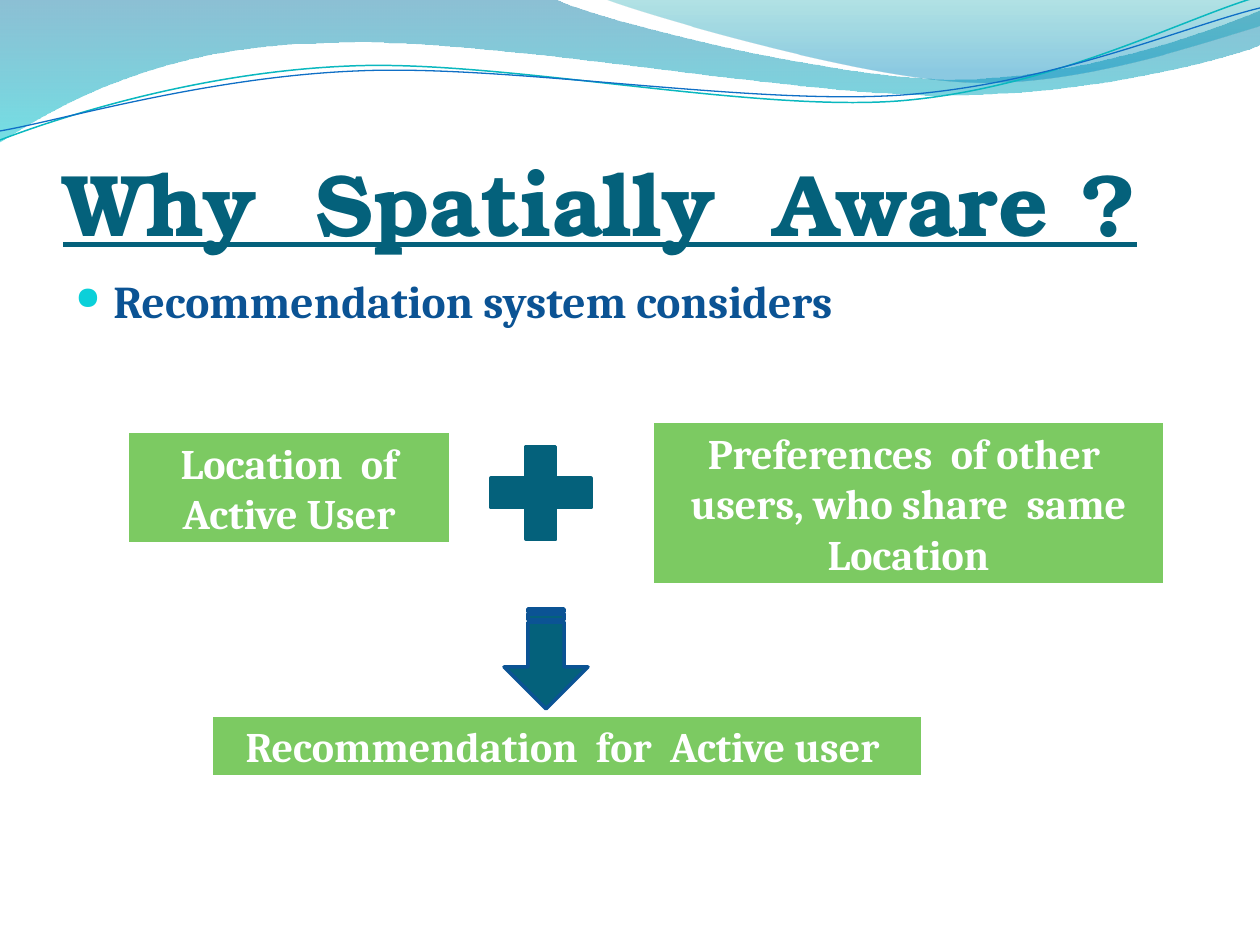
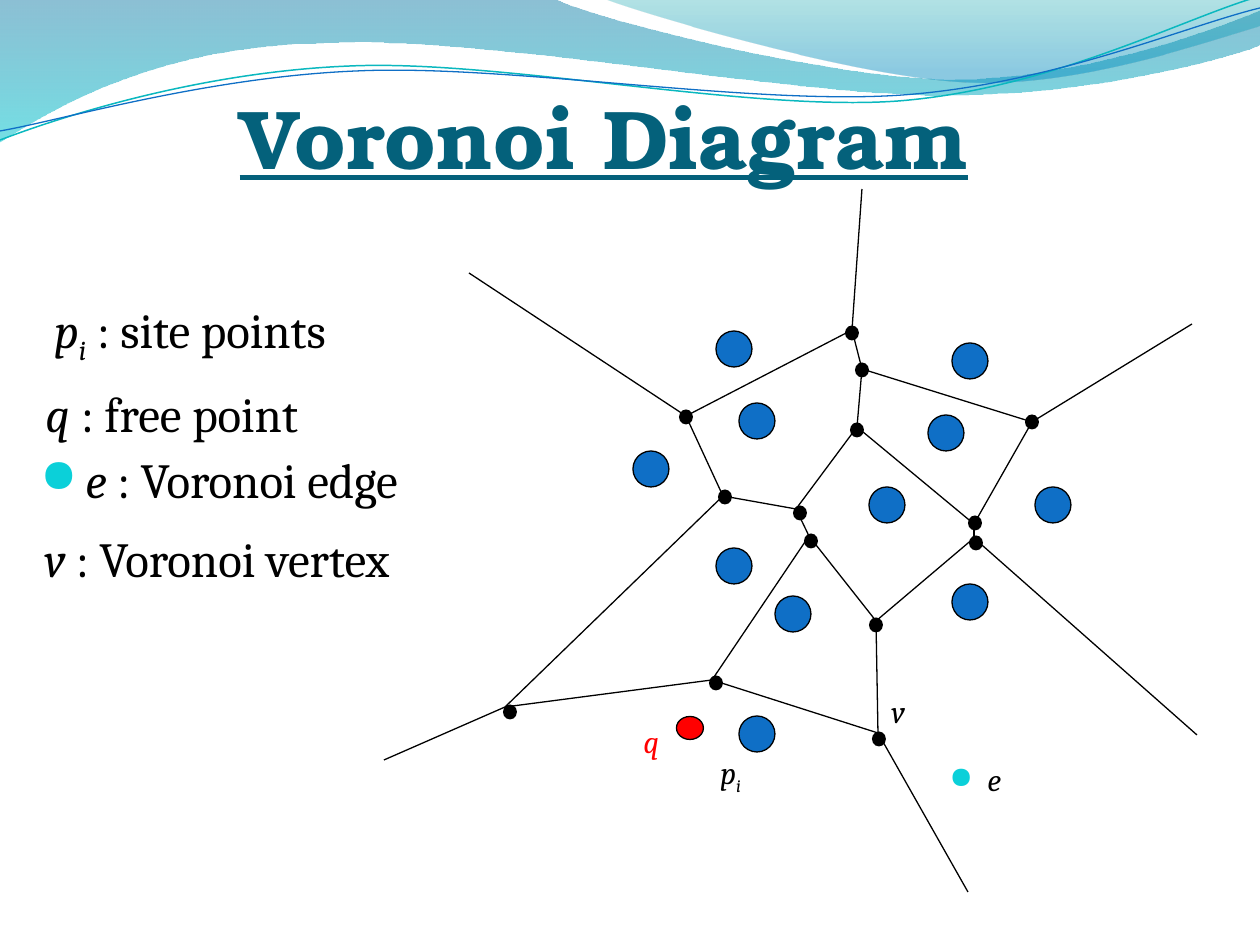
from lxml.etree import Element, SubElement
from pptx import Presentation
from pptx.dml.color import RGBColor
from pptx.enum.shapes import MSO_CONNECTOR, MSO_SHAPE
from pptx.enum.text import MSO_ANCHOR, MSO_AUTO_SIZE, PP_ALIGN
from pptx.oxml.ns import qn
from pptx.util import Pt

PX = 914400 / 126
SLIDE_WIDTH, SLIDE_HEIGHT = 1260, 945
TITLE_ONLY = 5

TITLE_FONT, BODY_FONT = "TeX Gyre Bonum", "Cambria"
TEAL = RGBColor(0x04, 0x61, 0x7B)
NAVY = RGBColor(0x0B, 0x53, 0x94)
BLUE = RGBColor(0x0F, 0x6F, 0xC6)
CYAN = RGBColor(0x0B, 0xD0, 0xD9)
GREEN = RGBColor(0x7C, 0xCA, 0x62)
RED = RGBColor(0xFF, 0x00, 0x00)
BLACK = RGBColor(0x00, 0x00, 0x00)
WHITE = RGBColor(0xFF, 0xFF, 0xFF)
WAVE_TEAL = RGBColor(0x0A, 0xB8, 0xBF)

# Outlines: a start point, then lines (x, y) and curves (x1, y1, x2, y2, x, y).
# Gradient stops: position, colour, opacity in percent.
WAVE_BANDS = [
    ([(0, 0), (554, -1), (600, 21, 837, 79, 955, 79),
      (1074, 79, 1207, 33, 1260, 11), (1261, 45),
      (1238, 55, 1096, 96, 940, 95), (784, 95, 481, 35, 324, 43),
      (163, 45, 58, 105, -1, 142)],
     [(0, RGBColor(0x00, 0x74, 0xA1), 45), (1, RGBColor(0x00, 0xC6, 0xCF), 55)]),
    ([(604, -1), (641, 14, 859, 78, 969, 82),
      (1079, 87, 1211, 40, 1260, 26), (1260, 0)],
     [(0, RGBColor(0x00, 0xA1, 0xA9), 30), (0.8, RGBColor(0x00, 0x8B, 0xBF), 45)]),
]
WAVE_LINES = [
    ([(0, 140), (60, 117, 199, 72, 349, 66), (498, 59, 747, 112, 898, 101),
      (1050, 89, 1182, 19, 1257, -3)], WAVE_TEAL, 0.85),
    ([(0, 131), (59, 121, 207, 77, 357, 71), (507, 64, 752, 106, 903, 95),
      (1053, 84, 1186, 26, 1260, 8)], BLUE, 0.75),
]

# Where the edges of each vertex meet, and the centre of its dot.
VERTICES = {
    "a": ((468, 141), (468, 144)), "b": ((478, 180), (478, 181)),
    "c": ((648, 233), (648, 233)), "d": ((473, 238), (473, 241)),
    "e": ((302, 227), (302, 228)), "f": ((339, 307), (341, 308)),
    "g": ((412, 320), (416, 324)), "h": ((425, 347), (427, 352)),
    "i": ((590, 335), (591, 334)), "j": ((590, 349), (592, 354)),
    "k": ((492, 432), (492, 436)), "l": ((328, 491), (332, 494)),
    "m": ((121, 518), (126, 523)), "n": ((494, 544), (495, 550)),
}
EDGES = "ab gh gd kj ji ef fm ml lh fg di hk ln nk db ea bc ic".split()
OPEN_EDGES = {"a": (478, 0), "c": (808, 135), "e": (85, 84),
              "j": (813, 546), "m": (0, 571), "n": (584, 703)}
SITES = [(350, 160), (373, 232), (267, 280), (586, 172), (562, 244), (503, 316),
         (669, 316), (350, 377), (409, 425), (586, 413), (373, 545)]
FREE_POINT = (306, 539)

ITALIC = {"italic": True}
SUBSCRIPT = {"italic": True, "baseline": -25000}
SITE_SYMBOL = [("p", ITALIC), ("i", SUBSCRIPT)]


def px(*lengths):
    return [round(length * PX) for length in lengths]


def write(frame, runs, size, color=BLACK, font=BODY_FONT, bold=False,
          underline=False, align=PP_ALIGN.LEFT, anchor=MSO_ANCHOR.TOP):
    """Fill a text frame with one paragraph; runs is a string or (text, style) pairs."""
    frame.word_wrap = True
    frame.auto_size = MSO_AUTO_SIZE.NONE
    frame.vertical_anchor = anchor
    paragraph = frame.paragraphs[0]
    paragraph.alignment = align
    for text, style in [(runs, {})] if isinstance(runs, str) else runs:
        run = paragraph.add_run()
        run.text = text
        run.font.name, run.font.size = font, Pt(size)
        run.font.bold, run.font.underline = bold, underline
        run.font.italic = style.get("italic", False)
        run.font.color.rgb = color
        if "baseline" in style:
            run._r.get_or_add_rPr().set("baseline", str(style["baseline"]))
    return paragraph


def add_bullet(paragraph, indent, percent=95):
    properties = paragraph._p.get_or_add_pPr()
    margin, = px(indent)
    properties.set("marL", str(margin))
    properties.set("indent", str(-margin))
    color = SubElement(properties, qn("a:buClr"))
    SubElement(color, qn("a:srgbClr"), val=str(CYAN))
    SubElement(properties, qn("a:buSzPct"), val=str(percent * 1000))
    SubElement(properties, qn("a:buChar"), char="●")


def add_text(slide, box, runs, size, **text_format):
    frame = slide.shapes.add_textbox(*px(*box)).text_frame
    return write(frame, runs, size, **text_format)


def add_preset(slide, kind, box, fill, line=None, line_width=0.75):
    shape = slide.shapes.add_shape(kind, *px(*box))
    shape.shadow.inherit = False
    shape.fill.solid()
    shape.fill.fore_color.rgb = fill
    if line is None:
        shape.line.fill.background()
    else:
        shape.line.color.rgb = line
        shape.line.width = Pt(line_width)
    return shape


def add_circle(slide, center, width, height, fill, line=None):
    box = (center[0] - width / 2, center[1] - height / 2, width, height)
    return add_preset(slide, MSO_SHAPE.OVAL, box, fill, line)


def add_edge(slide, start, end):
    connector = slide.shapes.add_connector(MSO_CONNECTOR.STRAIGHT, *px(*start, *end))
    connector.line.color.rgb = BLACK
    connector.line.width = Pt(0.75)
    SubElement(connector.element.spPr, qn("a:effectLst"))


def add_outline(slide, outline, close):
    """Build a polygon through all points, then join each curve's three into one Bezier."""
    start, *segments = outline
    points = [px(*segment[i:i + 2]) for segment in segments
              for i in range(0, len(segment), 2)]
    builder = slide.shapes.build_freeform(*px(*start))
    builder.add_line_segments(points, close=close)
    shape = builder.convert_to_shape()
    shape.shadow.inherit = False
    lines = iter(list(shape.element.spPr.iter(qn("a:lnTo"))))
    for segment in segments:
        parts = [next(lines) for _ in range(len(segment) // 2)]
        if len(parts) == 3:
            curve = Element(qn("a:cubicBezTo"))
            parts[0].addprevious(curve)
            for part in parts:
                curve.append(part[0])
                part.getparent().remove(part)
    return shape


def fill_gradient(shape, stops):
    shape.fill.gradient()
    shape.fill.gradient_angle = 270
    for stop, (position, color, _) in zip(shape.fill.gradient_stops, stops):
        stop.position = position
        stop.color.rgb = color
    for color, (*_, opacity) in zip(shape.element.spPr.iter(qn("a:srgbClr")), stops):
        SubElement(color, qn("a:alpha"), val=str(opacity * 1000))


def move_waves_to_master(presentation, slide):
    """Draw the waves on a slide, then move them behind everything on the master."""
    waves = []
    for outline, stops in WAVE_BANDS:
        band = add_outline(slide, outline, close=True)
        fill_gradient(band, stops)
        band.line.fill.background()
        waves.append(band)
    for outline, color, width in WAVE_LINES:
        line = add_outline(slide, outline, close=False)
        line.fill.background()
        line.line.color.rgb = color
        line.line.width = Pt(width)
        waves.append(line)
    master_tree = presentation.slide_master.shapes.element
    for index, wave in enumerate(waves, start=2):
        master_tree.insert(index, wave.element)


def add_slide(presentation):
    return presentation.slides.add_slide(presentation.slide_layouts[TITLE_ONLY])


def set_title(slide, box, text, size, align=PP_ALIGN.LEFT):
    title = slide.shapes.title
    title.left, title.top, title.width, title.height = px(*box)
    frame = title.text_frame
    frame.margin_left = frame.margin_right = frame.margin_bottom = 0
    frame.margin_top, = px(6)
    write(frame, text, size, color=TEAL, font=TITLE_FONT, bold=True,
          underline=True, align=align, anchor=MSO_ANCHOR.BOTTOM)


def add_recommendation_flow(slide, left, top):
    for x, y, width, height, text in [
        (0, 10, 326, 115, "Location  of Active User"),
        (525, 0, 515, 166, "Preferences  of other  users, who share  same Location"),
        (84, 294, 714, 64, "Recommendation  for  Active user "),
    ]:
        card = add_preset(slide, MSO_SHAPE.RECTANGLE, (left + x, top + y, width, height),
                          GREEN, WHITE, 3)
        write(card.text_frame, text, 24, color=WHITE, bold=True,
              align=PP_ALIGN.CENTER, anchor=MSO_ANCHOR.MIDDLE)
    add_preset(slide, MSO_SHAPE.MATH_PLUS, (left + 347, top + 10, 136, 126), TEAL, TEAL, 2)
    arrow = add_preset(slide, MSO_SHAPE.STRIPED_RIGHT_ARROW,
                       (left + 370, top + 197, 100, 84), TEAL, NAVY, 2)
    arrow.rotation = 90
    arrow.adjustments[0], arrow.adjustments[1] = 0.43, 0.5


def add_legend(slide, left, top):
    for x, y, symbol, meaning in [
        (10, 0, SITE_SYMBOL, " : site points"),
        (1, 84, [("q", ITALIC)], " : free point"),
        (-4, 150, [("e", ITALIC)], " : Voronoi edge"),
        (0, 229, [("v", ITALIC)], " : Voronoi vertex"),
    ]:
        paragraph = add_text(slide, (left + x, top + y, 430, 80),
                             symbol + [(meaning, {})], 28)
        if "edge" in meaning:
            add_bullet(paragraph, 45)


def add_voronoi_diagram(slide, left, top):
    def place(point):
        return left + point[0], top + point[1]

    joints = {name: place(joint) for name, (joint, _) in VERTICES.items()}
    for start, end in EDGES:
        add_edge(slide, joints[start], joints[end])
    for start, end in OPEN_EDGES.items():
        add_edge(slide, joints[start], place(end))
    for site in SITES:
        add_circle(slide, place(site), 36, 36, BLUE, BLACK)
    for _, dot in VERTICES.values():
        add_circle(slide, place(dot), 14, 15, BLACK)
    add_circle(slide, place(FREE_POINT), 27, 23, RED, BLACK)

    for point, symbol, color in [
        ((495, 497), [("v", ITALIC)], BLACK),
        ((247, 527), [("q", ITALIC)], RED),
        ((324, 558), SITE_SYMBOL, BLACK),
        ((553, 565), [("e", ITALIC)], BLACK),
    ]:
        paragraph = add_text(slide, (*place(point), 90, 50), symbol, 18, color=color)
        if symbol[0][0] == "e":
            add_bullet(paragraph, 38)


def build_spatial_slide(presentation):
    slide = add_slide(presentation)
    move_waves_to_master(presentation, slide)
    set_title(slide, (63, 97, 1134, 157), "Why  Spatially  Aware ?", 50)
    paragraph = add_text(slide, (63, 267, 1134, 605), "Recommendation system considers",
                         26, color=NAVY, bold=True)
    add_bullet(paragraph, 38, 70)
    add_recommendation_flow(slide, 126, 420)


def build_voronoi_slide(presentation):
    slide = add_slide(presentation)
    set_title(slide, (231, 52, 746, 134), "Voronoi Diagram", 47.7, PP_ALIGN.CENTER)
    add_legend(slide, 32, 293)
    add_voronoi_diagram(slide, 384, 189)


def main():
    presentation = Presentation()
    presentation.slide_width, presentation.slide_height = px(SLIDE_WIDTH, SLIDE_HEIGHT)
    build_spatial_slide(presentation)
    build_voronoi_slide(presentation)
    presentation.save("out.pptx")


if __name__ == "__main__":
    main()
